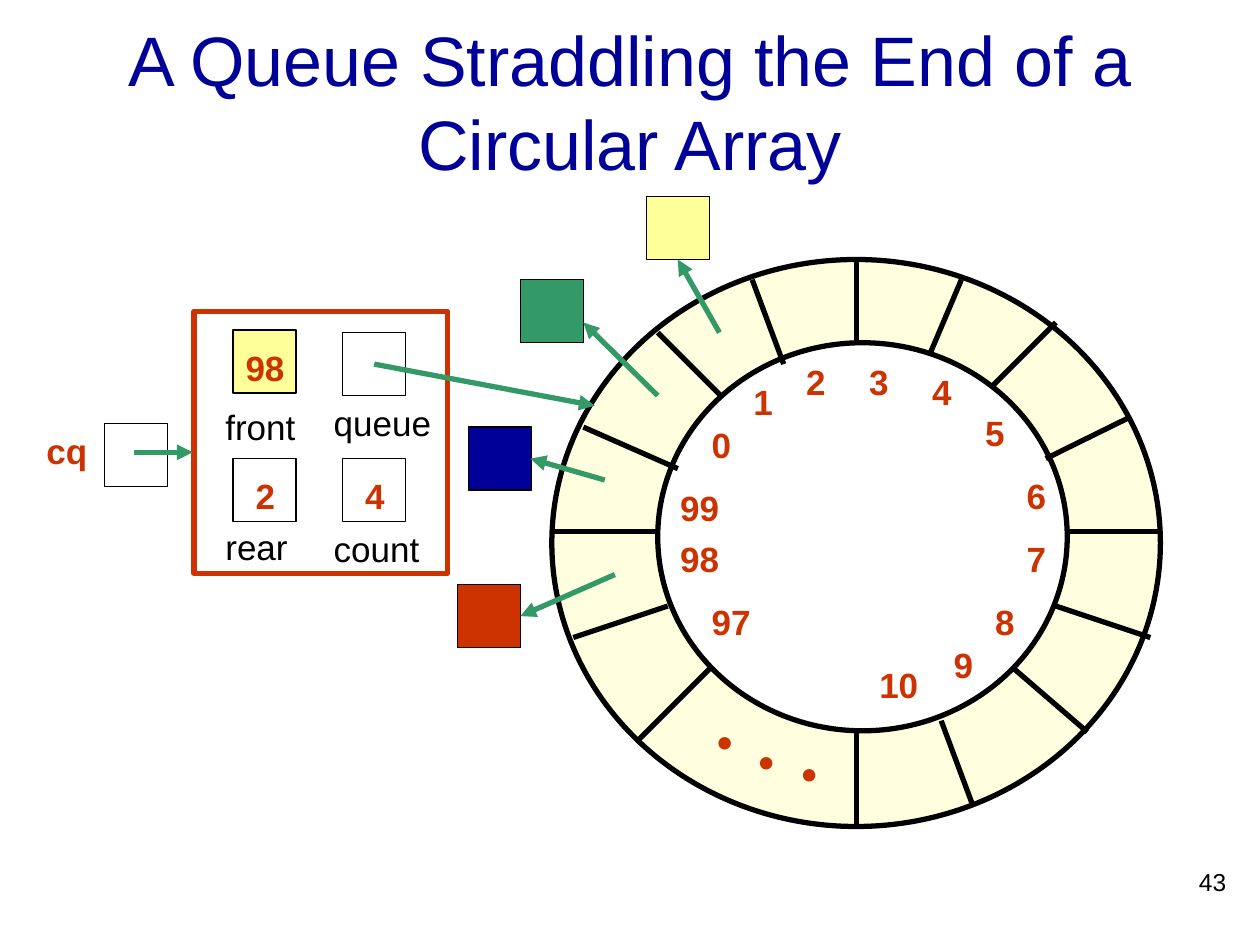
from typing import NamedTuple, Optional

from lxml import etree
from pptx import Presentation
from pptx.dml.color import RGBColor
from pptx.enum.shapes import MSO_CONNECTOR, MSO_SHAPE
from pptx.enum.text import MSO_ANCHOR, PP_ALIGN
from pptx.oxml.ns import qn
from pptx.util import Inches, Pt

RECTANGLE, ELLIPSE = MSO_SHAPE.RECTANGLE, MSO_SHAPE.OVAL
STRAIGHT = MSO_CONNECTOR.STRAIGHT
LEFT, CENTER, RIGHT = PP_ALIGN.LEFT, PP_ALIGN.CENTER, PP_ALIGN.RIGHT
TOP, MIDDLE = MSO_ANCHOR.TOP, MSO_ANCHOR.MIDDLE

BLACK, WHITE, NAVY, RED = "000000", "FFFFFF", "000099", "CC3300"
GREEN, YELLOW, CREAM = "339966", "FFFF99", "FFFFDF"
CELL = 0.5
LABEL_HEIGHT = 0.44


class Segment(NamedTuple):
    x1: float
    y1: float
    x2: float
    y2: float


class Cell(NamedTuple):
    left: float
    top: float
    fill: Optional[str] = None


class Label(NamedTuple):
    text: str
    left: float
    top: float
    width: float = 0.39


# Dividers between the slots of the circular array
DIVIDERS = [
    Segment(5.21, 4.22, 4.38, 4.22), Segment(8.47, 4.22, 9.22, 4.22),
    Segment(6.8, 2.06, 6.8, 2.72), Segment(6.8, 5.81, 6.8, 6.56),
    Segment(5.22, 2.64, 5.72, 3.14), Segment(8.05, 5.31, 8.63, 5.81),
    Segment(5.63, 5.31, 5.05, 5.89), Segment(8.38, 2.56, 7.88, 3.06),
    Segment(5.97, 2.22, 6.22, 2.89), Segment(7.47, 5.72, 7.72, 6.39),
    Segment(4.63, 3.39, 5.38, 3.72), Segment(8.38, 4.81, 9.13, 5.06),
    Segment(7.63, 2.22, 7.38, 2.81), Segment(8.97, 3.31, 8.3, 3.64),
    Segment(4.55, 5.06, 5.3, 4.81),
]

ARROWS = [
    Segment(2.97, 2.89, 4.72, 3.22),  # queue field to array
    Segment(4.88, 4.56, 4.13, 4.89),  # slots to elements
    Segment(4.8, 3.81, 4.21, 3.64),
    Segment(5.22, 3.14, 4.63, 2.56),
    Segment(5.71, 2.64, 5.38, 2.06),
    Segment(1.06, 3.59, 1.53, 3.59),  # cq to queue object
]

FIELD_CELLS = [Cell(1.85, 2.62, YELLOW), Cell(2.72, 2.64), Cell(1.85, 3.64),
               Cell(2.72, 3.64), Cell(0.83, 3.36)]
ELEMENT_CELLS = [Cell(3.72, 3.39, NAVY), Cell(3.63, 4.64, RED),
                 Cell(5.13, 1.56, YELLOW), Cell(4.13, 2.22, GREEN)]

FIELD_NAMES = [Label("front", 1.69, 3.17, 0.83), Label("queue", 2.55, 3.14, 1),
               Label("rear", 1.69, 4.12, 0.92), Label("count", 2.55, 4.14, 1)]
FIELD_VALUES = [Label("98", 1.85, 2.7, 0.58), Label("2", 1.93, 3.72),
                Label("4", 2.8, 3.72), Label("cq", 0.27, 3.36, 0.94)]
SLOT_NUMBERS = [
    Label("0", 5.55, 3.31), Label("1", 5.88, 2.97), Label("2", 6.3, 2.81),
    Label("3", 6.8, 2.81), Label("4", 7.3, 2.89), Label("5", 7.72, 3.22),
    Label("6", 8.05, 3.72), Label("7", 8.05, 4.22), Label("8", 7.8, 4.72),
    Label("9", 7.47, 5.06), Label("10", 6.88, 5.22, 0.58),
    Label("97", 5.55, 4.72, 0.75), Label("98", 5.3, 4.22, 0.75),
    Label("99", 5.3, 3.81, 0.75),
]
DOTS = [Label(".", 5.55, 5.06, 0.33), Label(".", 5.88, 5.22, 0.33),
        Label(".", 6.22, 5.31, 0.33)]


def color(value: str) -> RGBColor:
    return RGBColor.from_string(value)


def add_outline(page, kind, left: float, top: float, width: float, height: float,
                fill: Optional[str], line: str, weight: float) -> None:
    shape = page.shapes.add_shape(kind, Inches(left), Inches(top),
                                  Inches(width), Inches(height))
    shape.shadow.inherit = False
    if fill:
        shape.fill.solid()
        shape.fill.fore_color.rgb = color(fill)
    else:
        shape.fill.background()
    shape.line.color.rgb = color(line)
    shape.line.width = Pt(weight)


def add_cell(page, cell: Cell) -> None:
    add_outline(page, RECTANGLE, cell.left, cell.top, CELL, CELL,
                cell.fill, BLACK, 0.75)


def add_line(page, segment: Segment, line: str, arrow: bool = False) -> None:
    connector = page.shapes.add_connector(
        STRAIGHT, *(Inches(value) for value in segment))
    connector.line.color.rgb = color(line)
    connector.line.width = Pt(3)
    if arrow:
        etree.SubElement(connector.line._get_or_add_ln(), qn("a:tailEnd"),
                         type="triangle")
    etree.SubElement(connector._element.spPr, qn("a:effectLst"))


def add_text(page, label: Label, height: float = LABEL_HEIGHT, size: int = 20,
             ink: str = RED, bold: bool = False, font: str = "Arial",
             align=LEFT, anchor=TOP) -> None:
    box = page.shapes.add_textbox(Inches(label.left), Inches(label.top),
                                  Inches(label.width), Inches(height))
    frame = box.text_frame
    frame.word_wrap = True
    frame.vertical_anchor = anchor
    frame.text = label.text
    para = frame.paragraphs[0]
    para.alignment = align
    span = para.runs[0]
    span.font.name = font
    span.font.size = Pt(size)
    span.font.bold = bold
    span.font.color.rgb = color(ink)


def main() -> None:
    deck = Presentation()
    deck.slide_width, deck.slide_height = Inches(10), Inches(7.5)
    page = deck.slides.add_slide(deck.slide_layouts[6])

    # Title
    title = Label("A Queue Straddling the End of a Circular Array", 0.75, 0.17, 8.5)
    add_text(page, title, 1.25, 40, NAVY, align=CENTER, anchor=MIDDLE)

    # Circular array
    add_outline(page, ELLIPSE, 4.38, 2.06, 4.83, 4.5, CREAM, BLACK, 3)
    add_outline(page, ELLIPSE, 5.22, 2.72, 3.25, 3.08, WHITE, BLACK, 3)
    for divider in DIVIDERS:
        add_line(page, divider, BLACK)

    # Queue object and stored elements
    add_outline(page, RECTANGLE, 1.54, 2.47, 2.01, 2.08, None, RED, 3)
    for cell in FIELD_CELLS + ELEMENT_CELLS:
        add_cell(page, cell)

    # Labels
    for name in FIELD_NAMES:
        add_text(page, name, ink=BLACK)
    for number in FIELD_VALUES + SLOT_NUMBERS:
        add_text(page, number, bold=True)
    for dot in DOTS:
        add_text(page, dot, 1.1, 60, font="Times New Roman")

    # References
    for arrow in ARROWS:
        add_line(page, arrow, GREEN, arrow=True)

    # Page number
    add_text(page, Label("43", 7.75, 6.83, 2.08), 0.5, 14, BLACK, align=RIGHT)

    deck.save("out.pptx")


if __name__ == "__main__":
    main()
